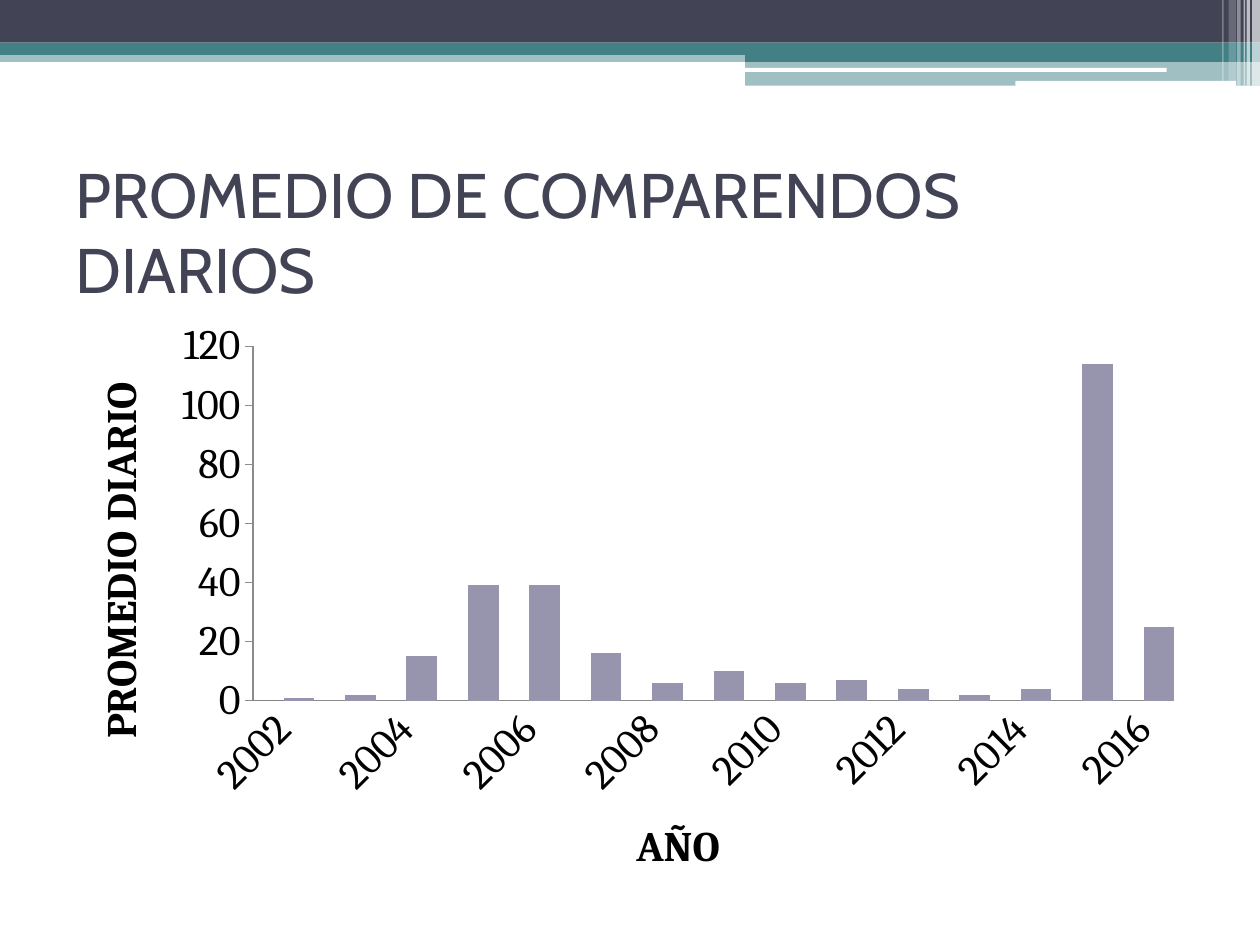
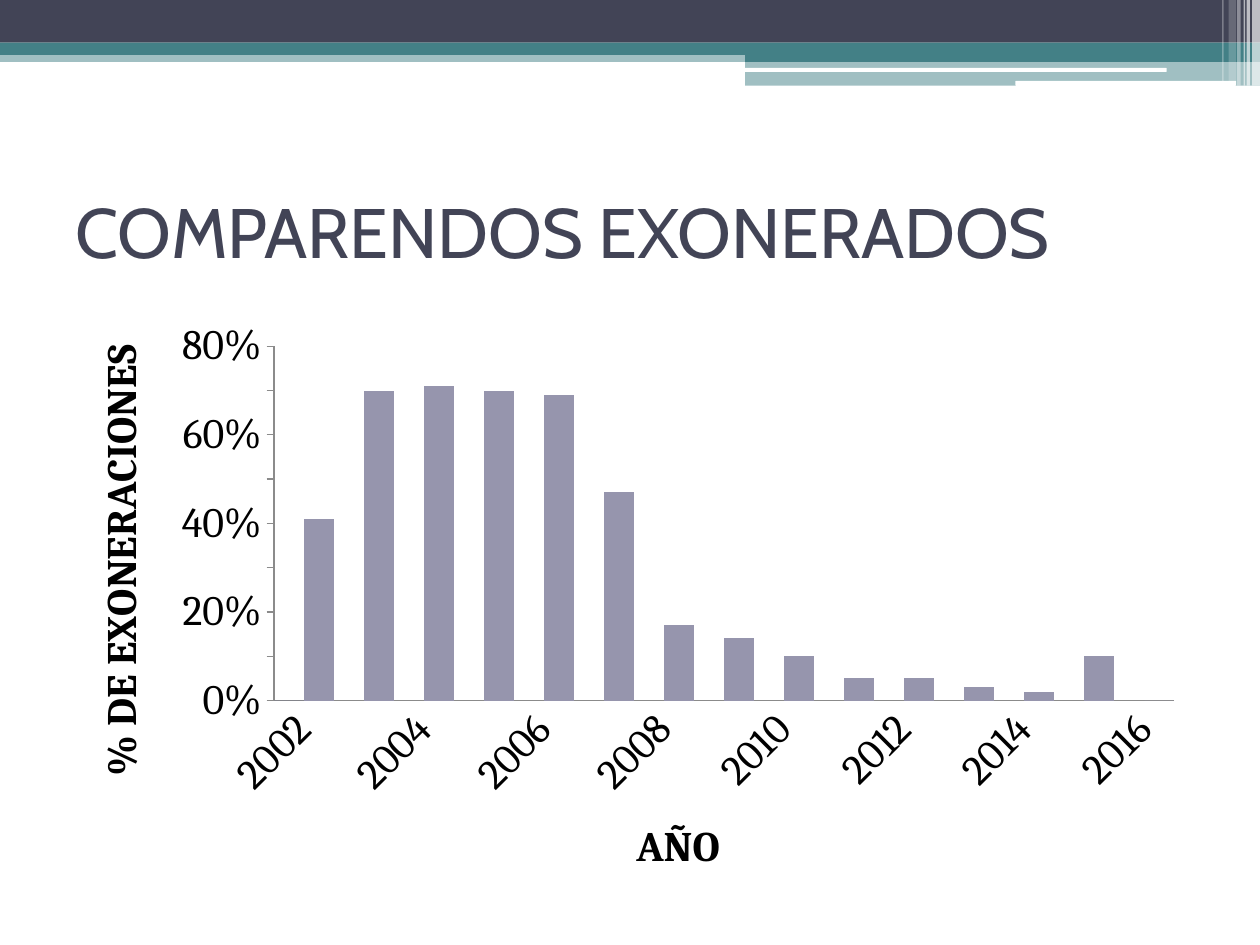
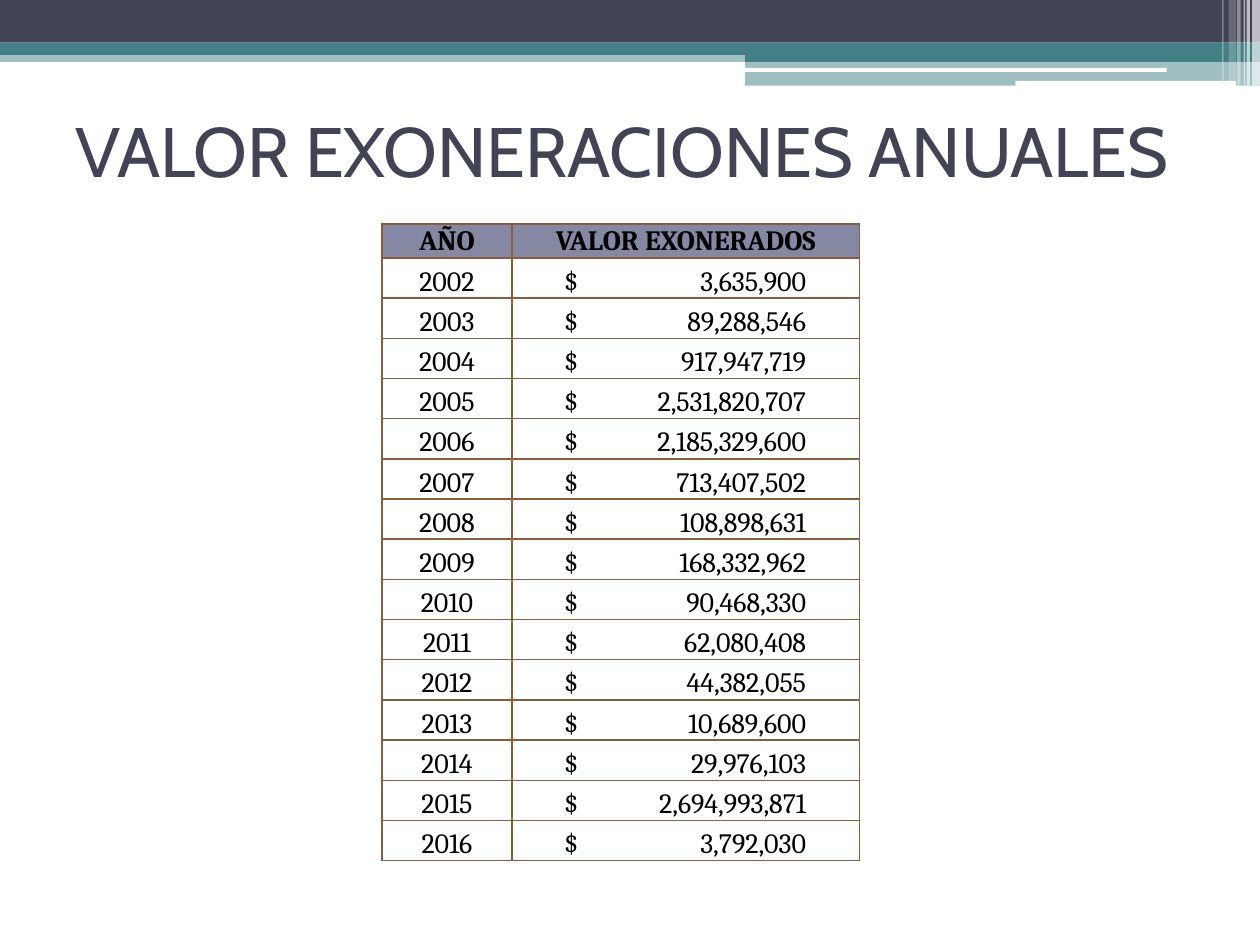
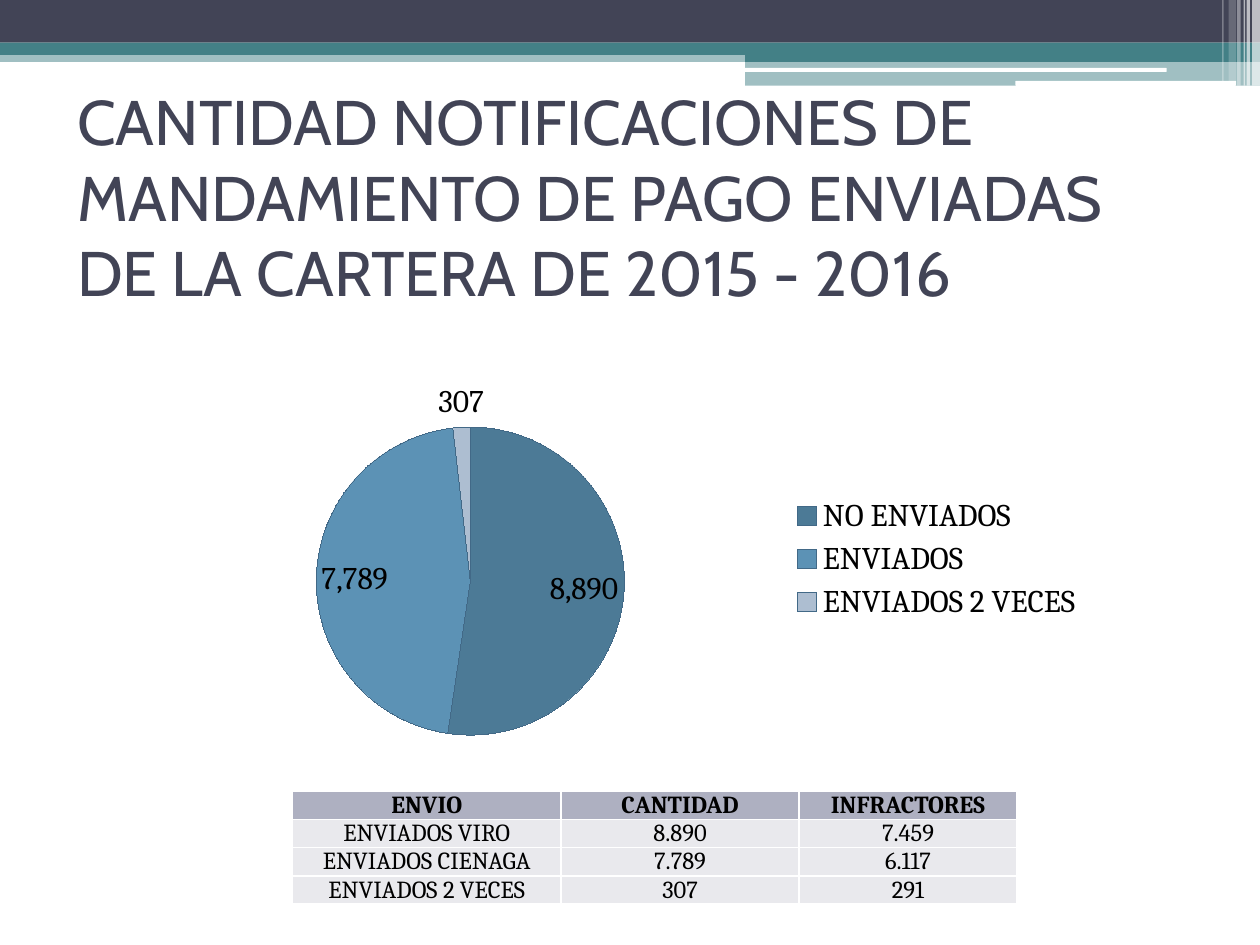
from lxml import etree
from pptx import Presentation
from pptx import util as u
from pptx.chart import data as chart_data
from pptx.dml.color import RGBColor
from pptx.enum import chart as charts, shapes, text
from pptx.oxml.ns import qn

Cm, Pt = u.Cm, u.Pt

# Shared look
WHITE = RGBColor(0xFF, 0xFF, 0xFF)
BLACK = RGBColor(0, 0, 0)
SLATE = RGBColor(0x42, 0x44, 0x56)
TEAL = RGBColor(0x43, 0x80, 0x86)
LILAC = RGBColor(0x96, 0x95, 0xAD)
INDIGO = RGBColor(0x53, 0x54, 0x8A)
AXIS_GREY = RGBColor(0x8B, 0x8B, 0x8B)
BROWN = RGBColor(0x8B, 0x5D, 0x3D)
YEAR_HEADER = RGBColor(0x85, 0x88, 0xA2)
SENT_HEADER = RGBColor(0xAE, 0xB0, 0xC1)
SENT_ROW = RGBColor(0xE9, 0xE9, 0xED)
PIE_LINE = RGBColor(0x42, 0x69, 0x87)
PIE_COLORS = [RGBColor(0x4C, 0x7A, 0x96), RGBColor(0x5C, 0x92, 0xB5),
              RGBColor(0xAD, 0xBE, 0xD1)]
TITLE_FONT, BODY_FONT = "Cabin", "Cambria"
SLIDE_WIDTH, SLIDE_HEIGHT = Cm(25.4), Cm(19.05)

RECTANGLE = shapes.MSO_SHAPE.RECTANGLE
ROUNDED = shapes.MSO_SHAPE.ROUNDED_RECTANGLE

# Bands: shape, left, top, width, height (cm), colour, opacity in percent
BANDS = [
    (RECTANGLE, 0, 1.02, 25.4, 0.23, TEAL, 50),
    (RECTANGLE, 0, 0, 25.4, 0.86, SLATE, 100),
    (RECTANGLE, 0, 0.86, 25.4, 0.25, TEAL, 100),
    (RECTANGLE, 15.02, 0.99, 10.38, 0.26, TEAL, 100),
    (RECTANGLE, 15.02, 1.23, 10.38, 0.5, TEAL, 50),
    (ROUNDED, 15.01, 1.37, 8.51, 0.08, WHITE, 100),
    (ROUNDED, 20.47, 1.63, 4.45, 0.1, WHITE, 100),
    (RECTANGLE, 25.24, 0, 0.16, 1.73, WHITE, 65),
    (RECTANGLE, 25.13, 0, 0.07, 1.73, WHITE, 65),
    (RECTANGLE, 25.07, 0, 0.03, 1.73, WHITE, 60),
    (RECTANGLE, 24.94, 0, 0.07, 1.73, WHITE, 40),
    (RECTANGLE, 24.77, 0, 0.15, 1.63, WHITE, 20),
    (RECTANGLE, 24.64, 0, 0.03, 1.63, WHITE, 30),
]

# Content
YEARS = [str(year) for year in range(2002, 2017)]
DAILY_AVERAGES = [1, 2, 15, 39, 39, 16, 6, 10, 6, 7, 4, 2, 4, 114, 25]
EXEMPT_SHARES = [0.41, 0.7, 0.71, 0.7, 0.69, 0.47, 0.17, 0.14, 0.1, 0.05,
                 0.05, 0.03, 0.02, 0.1, 0]
EXEMPT_VALUES = [3635900, 89288546, 917947719, 2531820707, 2185329600,
                 713407502, 108898631, 168332962, 90468330, 62080408,
                 44382055, 10689600, 29976103, 2694993871, 3792030]
SENT_COUNTS = {"NO ENVIADOS": 8890, "ENVIADOS": 7789, "ENVIADOS 2 VECES": 307}
SENT_ROWS = [
    ("ENVIO", "CANTIDAD", "INFRACTORES"),
    ("ENVIADOS VIRO", "8.890", "7.459"),
    ("ENVIADOS CIENAGA", "7.789", "6.117"),
    ("ENVIADOS 2 VECES", "307", "291"),
]

# Boxes: left, top, width, height
TITLE_BOX = (Cm(1.27), Cm(3.17), Cm(22.86), Cm(2.97))
CHART_BOX = (Cm(1.27), Cm(6.25), Cm(22.86), Cm(12.01))


def set_values(target, **values):
    for name, value in values.items():
        setattr(target, name, value)


def format_font(font, size, color=BLACK, name=BODY_FONT, bold=False):
    set_values(font, size=Pt(size), name=name, bold=bold)
    font.color.rgb = color


def fill_solid(fill, color):
    fill.solid()
    fill.fore_color.rgb = color


def add_bands(slide, layout):
    """Draw the bands and move them behind the layout's placeholders."""
    for index, (kind, left, top, width, height, color, opacity) in enumerate(BANDS):
        band = slide.shapes.add_shape(kind, Cm(left), Cm(top), Cm(width), Cm(height))
        band.shadow.inherit = False
        band.line.fill.background()
        fill_solid(band.fill, color)
        if opacity < 100:
            rgb = band.element.spPr.find(".//" + qn("a:srgbClr"))
            etree.SubElement(rgb, qn("a:alpha"), val=str(opacity * 1000))
        band.element.nvSpPr.cNvPr.set("id", str(100 + index))
        layout.shapes.element.insert(2 + index, band.element)


def add_titled_slide(presentation, layout, title, size, box=TITLE_BOX):
    slide = presentation.slides.add_slide(layout)
    shape = slide.shapes.title
    set_values(shape, **dict(zip(("left", "top", "width", "height"), box)))
    frame = shape.text_frame
    frame.text = title
    set_values(frame, word_wrap=True, auto_size=text.MSO_AUTO_SIZE.NONE,
               vertical_anchor=text.MSO_ANCHOR.MIDDLE)
    paragraph = frame.paragraphs[0]
    paragraph.alignment = text.PP_ALIGN.LEFT
    format_font(paragraph.runs[0].font, size, SLATE, TITLE_FONT)
    return slide


def add_year_chart(slide, box, values, value_title, maximum, step, number_format):
    """Column chart by year; the first series only holds a place."""
    data = chart_data.CategoryChartData()
    data.categories = YEARS
    data.add_series("Series 1", [0])
    data.add_series("Series 2", values)
    chart = slide.shapes.add_chart(charts.XL_CHART_TYPE.COLUMN_CLUSTERED, *box, data).chart
    set_values(chart, has_title=False, has_legend=False)
    format_font(chart.font, 24)
    plot = chart.plots[0]
    set_values(plot, gap_width=0, overlap=0, vary_by_categories=False)
    for series, color in zip(plot.series, (INDIGO, LILAC)):
        fill_solid(series.format.fill, color)

    # Axes
    marks = charts.XL_TICK_MARK
    for axis, title, mark in ((chart.category_axis, "AÑO", marks.NONE),
                              (chart.value_axis, value_title, marks.OUTSIDE)):
        set_values(axis, has_major_gridlines=False, major_tick_mark=mark,
                   minor_tick_mark=marks.NONE)
        axis.format.line.color.rgb = AXIS_GREY
        format_font(axis.tick_labels.font, 24)
        frame = axis.axis_title.text_frame
        frame.text = title
        format_font(frame.paragraphs[0].runs[0].font, 24, bold=True)
    set_values(chart.value_axis, minimum_scale=0, maximum_scale=maximum, major_unit=step)
    set_values(chart.value_axis.tick_labels, number_format=number_format,
               number_format_is_linked=False)
    for query, angle in (("//c:catAx/c:txPr/a:bodyPr", -45),
                         ("//c:valAx/c:title//a:bodyPr", -90)):
        body = chart.element.xpath(query)[0]
        body.set("rot", str(angle * 60000))
        body.set("vert", "horz")


def add_sent_pie(slide, box):
    data = chart_data.CategoryChartData()
    data.categories = list(SENT_COUNTS)
    data.add_series("Series 1", list(SENT_COUNTS.values()))
    chart = slide.shapes.add_chart(charts.XL_CHART_TYPE.PIE, *box, data).chart
    set_values(chart, has_title=False, has_legend=True)
    format_font(chart.font, 18)
    set_values(chart.legend, position=charts.XL_LEGEND_POSITION.RIGHT,
               include_in_layout=False)
    plot = chart.plots[0]
    set_values(plot, vary_by_categories=True, has_data_labels=True)
    for index, color in enumerate(PIE_COLORS):
        point = plot.series[0].points[index].format
        fill_solid(point.fill, color)
        point.line.color.rgb = PIE_LINE
    labels = plot.data_labels
    set_values(labels, show_value=True, number_format="#,##0",
               number_format_is_linked=False,
               position=charts.XL_LABEL_POSITION.BEST_FIT)
    format_font(labels.font, 18)


def set_borders(cell, color):
    properties = cell._tc.get_or_add_tcPr()
    for index, side in enumerate(("lnL", "lnR", "lnT", "lnB")):
        line = etree.Element(qn("a:" + side), w=str(Pt(1)))
        fill = etree.SubElement(line, qn("a:solidFill"))
        etree.SubElement(fill, qn("a:srgbClr"), val=str(color))
        properties.insert(index, line)


def add_grid(slide, left, top, rows, widths, heights, size, inset,
             header_color, row_color, border):
    """Table with a bold header row and centred cells; returns the table."""
    table = slide.shapes.add_table(len(rows), len(widths), left, top,
                                   sum(widths), sum(heights)).table
    set_values(table, first_row=False, horz_banding=False)
    for column, width in zip(table.columns, widths):
        column.width = width
    for index, (row, height, values) in enumerate(zip(table.rows, heights, rows)):
        row.height = height
        color = row_color if index else header_color
        for cell, value in zip(row.cells, values):
            cell.text = value
            set_values(cell, margin_left=inset, margin_right=inset, margin_top=inset,
                       margin_bottom=0, vertical_anchor=text.MSO_ANCHOR.BOTTOM)
            paragraph = cell.text_frame.paragraphs[0]
            paragraph.alignment = text.PP_ALIGN.CENTER
            format_font(paragraph.runs[0].font, size, bold=index == 0)
            if color is None:
                cell.fill.background()
            else:
                fill_solid(cell.fill, color)
            set_borders(cell, border)
    return table


def add_value_table(slide, left, top):
    rows = [("AÑO", "VALOR EXONERADOS")]
    rows += [(year, f"$\t{value:,}") for year, value in zip(YEARS, EXEMPT_VALUES)]
    heights = [Cm(0.66)] + [Cm(0.81)] * len(YEARS)
    table = add_grid(slide, left, top, rows, [Cm(2.62), Cm(7.01)], heights, 16,
                     Cm(0.03), YEAR_HEADER, None, BROWN)
    # The currency sign stands left and the amount ends at a right tab
    for index in range(1, len(rows)):
        cell = table.cell(index, 1)
        cell.margin_left = Cm(1.05)
        paragraph = cell.text_frame.paragraphs[0]
        paragraph.alignment = text.PP_ALIGN.LEFT
        stops = etree.SubElement(paragraph._p.get_or_add_pPr(), qn("a:tabLst"))
        etree.SubElement(stops, qn("a:tab"), pos=str(Cm(4.88)), algn="r")


def main():
    presentation = Presentation()
    set_values(presentation, slide_width=SLIDE_WIDTH, slide_height=SLIDE_HEIGHT)
    layout = presentation.slide_layouts[5]

    # Daily average
    slide = add_titled_slide(presentation, layout, "PROMEDIO DE COMPARENDOS DIARIOS", 36)
    add_bands(slide, layout)
    add_year_chart(slide, CHART_BOX, DAILY_AVERAGES, "PROMEDIO DIARIO", 120, 20, "0")

    # Share of exemptions
    slide = add_titled_slide(presentation, layout, "COMPARENDOS EXONERADOS", 40)
    add_year_chart(slide, CHART_BOX, EXEMPT_SHARES, "% DE EXONERACIONES", 0.8, 0.1, "0%")

    # Yearly value
    slide = add_titled_slide(presentation, layout, "VALOR EXONERACIONES ANUALES", 40,
                             (Cm(1.27), Cm(1.52), Cm(22.86), Cm(2.97)))
    add_value_table(slide, Cm(7.7), Cm(4.52))

    # Notices sent
    slide = add_titled_slide(
        presentation, layout,
        "CANTIDAD NOTIFICACIONES DE MANDAMIENTO DE PAGO ENVIADAS "
        "DE LA CARTERA DE 2015 - 2016", 36,
        (Cm(1.3), Cm(2.36), Cm(22.86), Cm(3.18)))
    add_sent_pie(slide, (Cm(3.1), Cm(7.37), Cm(19), Cm(7.8)))
    add_grid(slide, Cm(5.9), Cm(15.95), SENT_ROWS, [Cm(5.41), Cm(4.8), Cm(4.39)],
             [Cm(0.57)] * len(SENT_ROWS), 14, 0, SENT_HEADER, SENT_ROW, WHITE)

    presentation.save("out.pptx")


if __name__ == "__main__":
    main()
